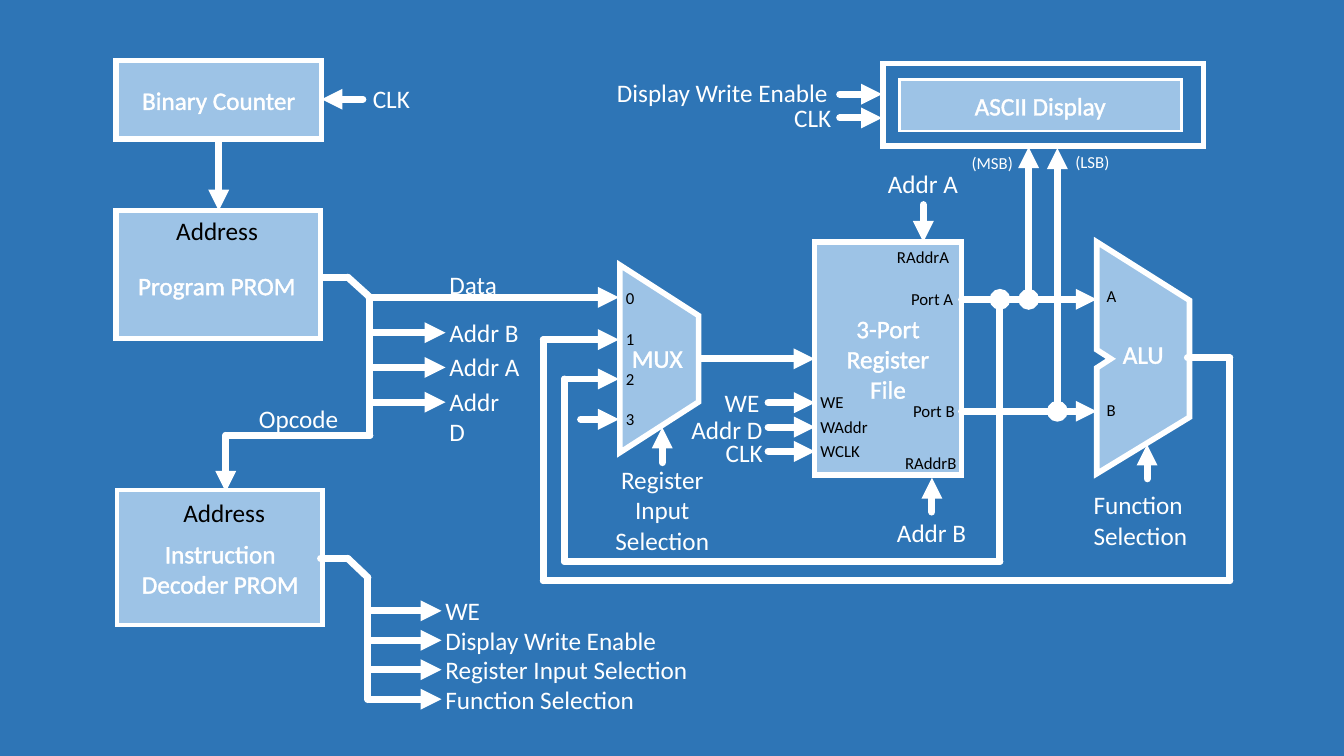
"""Draw a block diagram of a small processor: counter, PROMs, multiplexer, registers, ALU and display."""
from itertools import pairwise

from lxml.etree import SubElement
from pptx import Presentation
from pptx.dml.color import RGBColor
from pptx.enum.shapes import MSO_CONNECTOR as Connector, MSO_SHAPE as Preset
from pptx.enum.text import MSO_ANCHOR as Anchor, MSO_AUTO_SIZE as AutoSize, PP_ALIGN as Align
from pptx.oxml.ns import qn
from pptx.util import Inches, Pt

COLORS = {"background": "2E75B6", "block": "9DC3E6", "white": "FFFFFF", "black": "000000"}


def color(name):
    """Return a palette colour."""
    return RGBColor.from_string(COLORS[name])


class Diagram:
    """Style and current slide, measured in square grid cells of a tenth of an inch."""

    CELL = Inches(0.1)
    FONT = "Calibri"
    WIRE = 5

    def __init__(self, columns, rows):
        """Start a presentation with one blank slide."""
        self.presentation = Presentation()
        self.presentation.slide_width, self.presentation.slide_height = self.cells(columns, rows)
        self.slide = self.presentation.slides.add_slide(self.presentation.slide_layouts[6])
        self.slide.background.fill.solid()
        self.slide.background.fill.fore_color.rgb = color("background")

    def cells(self, *lengths):
        """Turn grid lengths into slide units."""
        return [round(length * self.CELL) for length in lengths]

    def outline(self, shape, weight, join):
        """Give a shape a white line and return its XML."""
        shape.line.color.rgb = color("white")
        shape.line.width = Pt(weight)
        line = shape._element.spPr.find(qn("a:ln"))
        SubElement(line, qn(f"a:{join}"))
        return line

    def set_text(self, frame, text, size, ink, align, bold_edge, gap=0):
        """Fill a text frame with uniformly styled paragraphs."""
        frame.text = text
        for index, paragraph in enumerate(frame.paragraphs):
            paragraph.alignment = align
            paragraph.space_before = Pt(gap if index else 0)
            paragraph.font.size = Pt(size)
            paragraph.font.name = self.FONT
            paragraph.font.color.rgb = color(ink)
            for run in paragraph.runs if bold_edge else ():
                edge = SubElement(run._r.get_or_add_rPr(), qn("a:ln"), w=str(Pt(1)))
                SubElement(SubElement(edge, qn("a:solidFill")), qn("a:srgbClr"), val=COLORS["white"])

    def paint(self, shape, weight, fill="block"):
        """Style a block's fill and outline."""
        shape.shadow.inherit = False
        if fill:
            shape.fill.solid()
            shape.fill.fore_color.rgb = color(fill)
        else:
            shape.fill.background()
        self.outline(shape, weight, "miter").find(qn("a:miter")).set("lim", "800000")

    def block(self, x, y, width, height, text="", weight=4, fill="block", preset=Preset.RECTANGLE):
        """Add a preset shape with an optional centred name."""
        shape = self.slide.shapes.add_shape(preset, *self.cells(x, y, width, height))
        self.paint(shape, weight, fill)
        if text:
            shape.text_frame.vertical_anchor = Anchor.MIDDLE
            self.set_text(shape.text_frame, text, 18, "white", Align.CENTER, True)
        return shape

    def polygon(self, points, weight=4):
        """Add a closed outline through grid points."""
        start, *corners = [self.cells(*point) for point in points]
        builder = self.slide.shapes.build_freeform(*start)
        builder.add_line_segments(corners, close=True)
        self.paint(builder.convert_to_shape(), weight)

    def wire(self, *points, head=None, tail="triangle"):
        """Join grid points with round-capped lines, with optional end marks."""
        segments = list(pairwise(points))
        for index, (start, end) in enumerate(segments):
            connector = self.slide.shapes.add_connector(Connector.STRAIGHT, *self.cells(*start, *end))
            line = self.outline(connector, self.WIRE, "round")
            line.set("cap", "rnd")
            if head and index == 0:
                SubElement(line, qn("a:headEnd"), type=head)
            if tail and index == len(segments) - 1:
                SubElement(line, qn("a:tailEnd"), type=tail)
            SubElement(connector._element.spPr, qn("a:effectLst"))

    def label(self, text, x, y, width, size=18, ink="white", align=Align.LEFT, wrap=False,
              lines=1, bold_edge=False, gap=0):
        """Add a text box tall enough for its lines."""
        box = self.slide.shapes.add_textbox(*self.cells(x, y, width, size / 6 * lines + 1))
        box.text_frame.word_wrap = wrap
        box.text_frame.auto_size = AutoSize.SHAPE_TO_FIT_TEXT
        self.set_text(box.text_frame, text, size, ink, align, bold_edge, gap)

    def pin(self, text, x, y, width, ink="black"):
        """Add a small port name."""
        self.label(text, x, y, width, size=12, ink=ink)


def draw_blocks(diagram):
    """Place the functional blocks and their names."""
    diagram.block(11.5, 6, 20.4, 7.8, "Binary Counter")
    diagram.block(11.5, 20.9, 20.3, 12.7)
    diagram.block(11.6, 48.6, 20.4, 13.4, weight=3)
    diagram.block(80.8, 24, 14.6, 23.1, "3-Port\vRegister\vFile")
    diagram.block(89.2, 7.9, 28, 5.1, "ASCII Display", weight=2)
    diagram.block(87.6, 6.3, 31.8, 8.2, fill=None)
    diagram.polygon([(108.8, 24), (108.8, 34.7), (110.2, 35.6), (108.8, 36.5),
                     (108.8, 47), (118, 41.4), (118, 29.8)])
    multiplexer = diagram.block(56.1, 31.7, 18.6, 7.8, preset=Preset.TRAPEZOID)
    multiplexer.rotation = 90
    multiplexer.adjustments[0] = 0.643


def draw_wires(diagram):
    """Connect the blocks."""
    diagram.wire((36, 9.85), (31.9, 9.85))
    diagram.wire((21.7, 13.9), (21.7, 20.9))
    diagram.wire((31.9, 27.5), (34.5, 27.5), (36.6, 29.4), tail=None)
    diagram.wire((36.6, 29.5), (61.4, 29.5))
    diagram.wire((36.7, 29.5), (36.7, 43.2), (22.4, 43.2), (22.4, 48.8))
    diagram.wire((31.8, 55.4), (34.5, 55.4), (36.5, 57.3), (36.5, 69.4), tail=None)
    for y in (29.7, 40.8):
        diagram.wire((95.4, y), (108.8, y))
    diagram.wire((102.05, 29.7), (102.05, 14.6), head="oval")
    diagram.wire((104.9, 40.8), (104.9, 14.7), head="oval")
    diagram.wire((99.2, 29.7), (99.2, 55.7), (56, 55.7), (56, 37.6), (61.4, 37.6), head="oval")
    diagram.wire((117.8, 35.5), (122, 35.5), (122, 57.6), (53.9, 57.6), (53.9, 33.7), (61.4, 33.7))
    diagram.wire((57.6, 41.6), (61.4, 41.6))
    diagram.wire((69.4, 35.6), (80.8, 35.6))
    diagram.wire((65.7, 45.9), (65.7, 42.4))
    diagram.wire((91.6, 20.3), (91.6, 24))
    diagram.wire((92.45, 50.8), (92.45, 47.4))
    diagram.wire((113.8, 47.5), (113.8, 44.1))
    for y in (9.35, 11.7):
        diagram.wire((83.3, y), (87.5, y))


def draw_buses(diagram):
    """Fan out the PROM fields and bring the write signals to the register file."""
    for index, name in enumerate(("Addr B", "Addr A", "Addr D")):
        y = 33 + 3.45 * index
        diagram.wire((36.7, y), (44.2, y))
        diagram.label(name, 43.6, y - 2.05, 9)
    controls = ("WE", "Display Write Enable", "Register Input Selection", "Function Selection")
    for index, name in enumerate(controls):
        y = 60.6 + 2.92 * index
        diagram.wire((36.6, y), (43.8, y))
        diagram.label(name, 43.2, y - 2, 30, wrap=True)
    signals = (("WE", 70.9, 37.9, 5.5, "WE", 4.3),
               ("Addr D", 67.6, 40.6, 9.2, "WAddr", 6.7),
               ("CLK", 71, 42.9, 5.8, "WCLK", 6))
    for index, (name, x, y, width, port, port_width) in enumerate(signals):
        level = 39.95 + 2.42 * index
        diagram.wire((76.2, level), (80.85, level))
        diagram.label(name, x, y, width)
        diagram.pin(port, 80.4, level - 1.55, port_width)


def draw_labels(diagram):
    """Add signal names, block names and port names."""
    for name, x, y, width in (
        ("CLK", 36, 7.8, 5.8), ("CLK", 77.8, 9.7, 5.8), ("Data", 43.6, 26.2, 6.8),
        ("Opcode", 24.7, 39.5, 10), ("Addr A", 87.1, 16.2, 9), ("Addr B", 88, 50.8, 9),
    ):
        diagram.label(name, x, y, width)
    diagram.label("Display Write Enable", 59.9, 7.2, 23.5, align=Align.CENTER, wrap=True)
    diagram.label("Register Input Selection", 58.8, 45.6, 13.8, align=Align.CENTER, wrap=True, lines=3)
    diagram.label("Function Selection", 107.5, 48.1, 13.4, wrap=True, lines=2)
    for x, y in ((16.5, 20.9), (17.2, 48.8)):
        diagram.label("Address", x, y, 10.3, ink="black")
    for name, x, y, width, align, lines in (
        ("Program PROM", 11.6, 26.3, 19.8, Align.CENTER, 1),
        ("Instruction Decoder PROM", 11.6, 52.9, 20.5, Align.CENTER, 2),
        ("MUX", 61.7, 33.5, 8.3, Align.LEFT, 1), ("ALU", 110.4, 33.1, 7.5, Align.LEFT, 1),
    ):
        diagram.label(name, x, y, width, align=align, wrap=True, lines=lines, bold_edge=True)
    diagram.label("0\n1\n2\n3", 61.1, 28.1, 2.9, size=12, ink="black", lines=7, gap=14.4)
    for name, x, y, width in (
        ("A", 108.8, 27.9, 2.9), ("B", 108.8, 39.2, 2.9), ("Port A", 89.4, 28.2, 6.3),
        ("Port B", 89.6, 39.3, 6.2), ("RAddrA", 88, 24, 7.2), ("RAddrB", 88.8, 44.4, 7.2),
    ):
        diagram.pin(name, x, y, width)
    diagram.pin("(MSB)", 95.4, 14.7, 6.2, ink="white")
    diagram.pin("(LSB)", 105.7, 14.6, 5.4, ink="white")


def main():
    """Build and save the slide."""
    diagram = Diagram(133.33, 75)
    draw_blocks(diagram)
    draw_wires(diagram)
    draw_buses(diagram)
    draw_labels(diagram)
    diagram.presentation.save("out.pptx")


if __name__ == "__main__":
    main()
